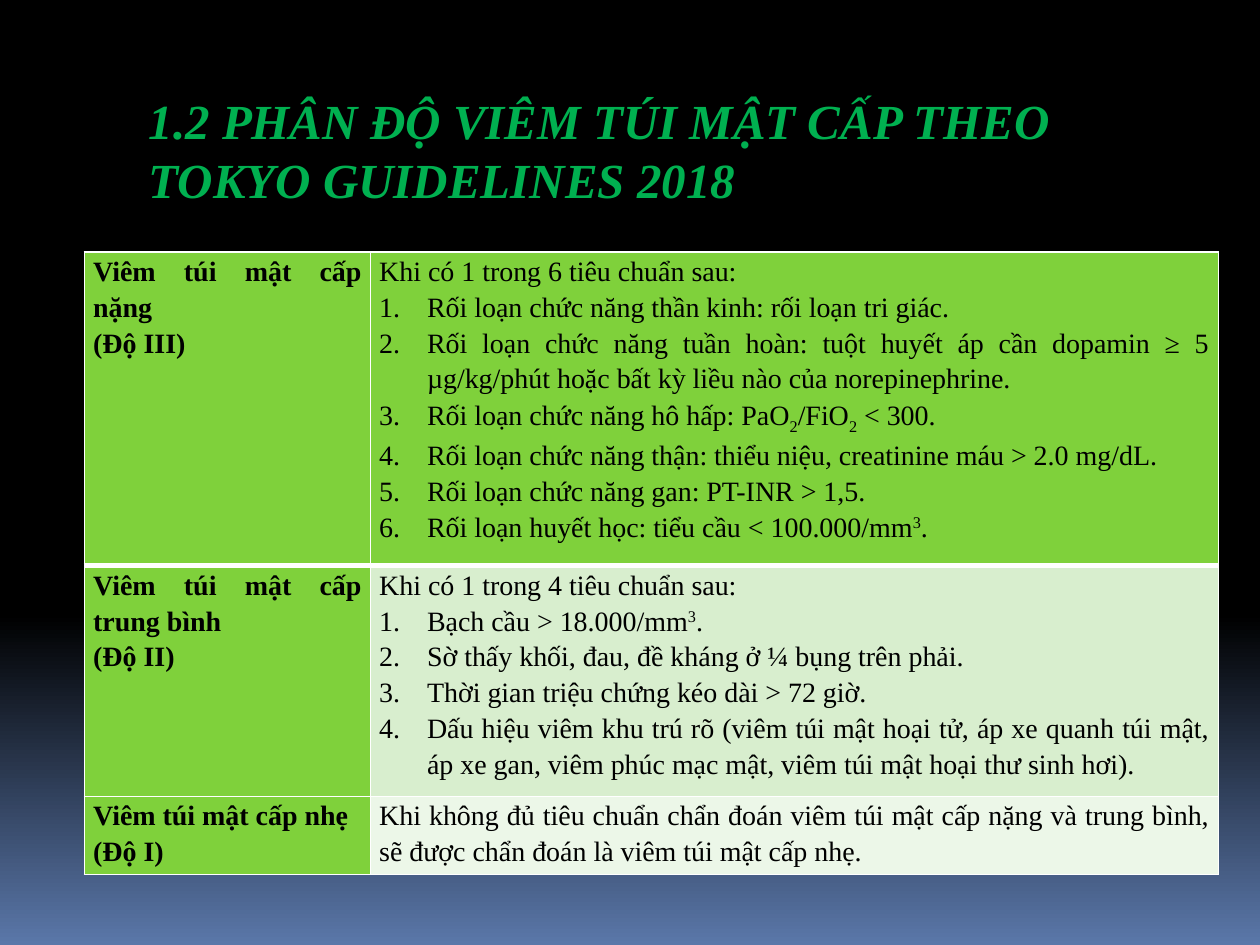
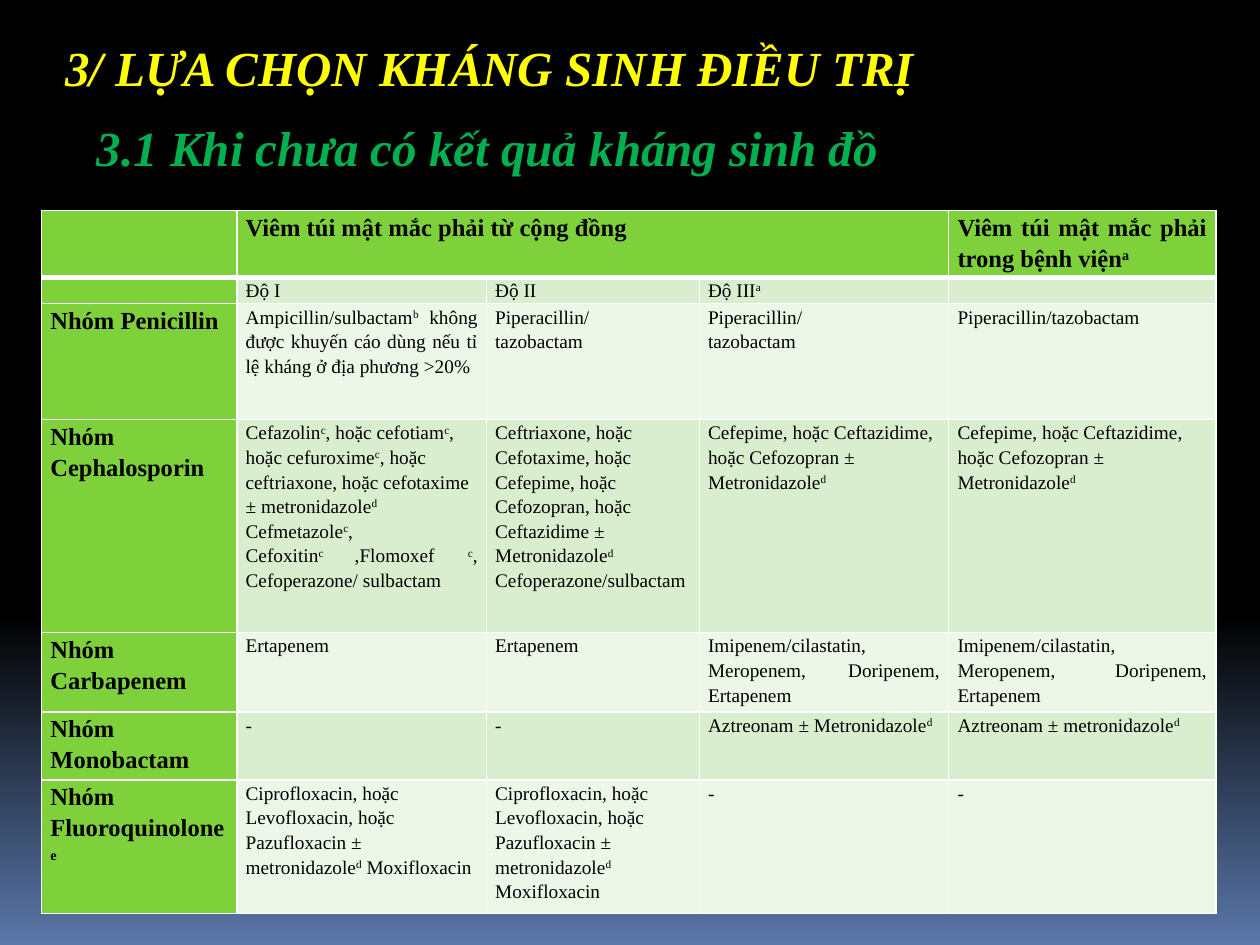
from lxml import etree
from pptx import Presentation
from pptx.dml.color import RGBColor
from pptx.enum import text as t
from pptx.oxml import ns
from pptx.util import Inches, Pt

BLACK = RGBColor(0, 0, 0)
NAVY = RGBColor(0x5A, 0x77, 0xA9)
GREEN = RGBColor(0x00, 0xB0, 0x50)
YELLOW = RGBColor(0xFF, 0xFF, 0x00)
LIME = RGBColor(0x7F, 0xD1, 0x3B)
PALE = RGBColor(0xD8, 0xEE, 0xCE)
MIST = RGBColor(0xEC, 0xF7, 0xE8)
WHITE = RGBColor(0xFF, 0xFF, 0xFF)
FONT = "Times New Roman"

# Cell marks: "#" numbered, "<" left aligned, "|^" raised, "|_" lowered, "|" normal.
CEFE = ["<Cefepime, hoặc Ceftazidime, hoặc Cefozopran ± Metronidazole|^d"]
PIPE = ["Piperacillin/", "tazobactam"]
IMI = ["Imipenem/cilastatin, Meropenem, Doripenem, Ertapenem"]
CIPRO = ["<Ciprofloxacin, hoặc Levofloxacin, hoặc Pazufloxacin ± metronidazole|^d| Moxifloxacin"]
ERTA = ["Ertapenem"]
DASH = ["-"]

GRADES = [
    [["Viêm túi mật cấp nặng", "(Độ III)"],
     ["Khi có 1 trong 6 tiêu chuẩn sau:",
      "#Rối loạn chức năng thần kinh: rối loạn tri giác.",
      "#Rối loạn chức năng tuần hoàn: tuột huyết áp cần dopamin ≥ 5 µg/kg/phút hoặc bất kỳ liều nào của norepinephrine.",
      "#Rối loạn chức năng hô hấp: PaO|_2|/FiO|_2| < 300.",
      "#Rối loạn chức năng thận: thiểu niệu, creatinine máu > 2.0 mg/dL.",
      "#Rối loạn chức năng gan: PT-INR > 1,5.",
      "#Rối loạn huyết học: tiểu cầu < 100.000/mm|^3|."]],
    [["Viêm túi mật cấp trung bình", "(Độ II)"],
     ["Khi có 1 trong 4 tiêu chuẩn sau:",
      "#Bạch cầu > 18.000/mm|^3|.",
      "#Sờ thấy khối, đau, đề kháng ở ¼ bụng trên phải.",
      "#Thời gian triệu chứng kéo dài > 72 giờ.",
      "#Dấu hiệu viêm khu trú rõ (viêm túi mật hoại tử, áp xe quanh túi mật, áp xe gan, viêm phúc mạc mật, viêm túi mật hoại thư sinh hơi)."]],
    [["Viêm túi mật cấp nhẹ", "(Độ I)"],
     ["Khi không đủ tiêu chuẩn chẩn đoán viêm túi mật cấp nặng và trung bình, sẽ được chẩn đoán là viêm túi mật cấp nhẹ."]],
]

DRUGS = [
    [[], ["Viêm túi mật mắc phải từ cộng đồng"], [], [],
     ["Viêm túi mật mắc phải trong bệnh viện|^a"]],
    [[], ["Độ I"], ["Độ II"], ["Độ III|^a"], []],
    [["Nhóm Penicillin"],
     ["Ampicillin/sulbactam|^b |không được khuyến cáo dùng nếu tỉ lệ kháng ở địa phương >20%"],
     PIPE, PIPE, ["Piperacillin/tazobactam"]],
    [["Nhóm Cephalosporin"],
     ["<Cefazolin|^c|, hoặc cefotiam|^c|, hoặc cefuroxime|^c|, hoặc ceftriaxone, hoặc cefotaxime ± metronidazole|^d",
      "Cefmetazole|^c|, Cefoxitin|^c |,Flomoxef |^c|, Cefoperazone/ sulbactam"],
     ["<Ceftriaxone, hoặc Cefotaxime, hoặc Cefepime, hoặc Cefozopran, hoặc Ceftazidime ± Metronidazole|^d",
      "Cefoperazone/sulbactam"],
     CEFE, CEFE],
    [["Nhóm Carbapenem"], ERTA, ERTA, IMI, IMI],
    [["Nhóm Monobactam"], DASH, DASH,
     ["<Aztreonam ± Metronidazole|^d"], ["<Aztreonam ± metronidazole|^d"]],
    [["Nhóm Fluoroquinolone|^e"], CIPRO, CIPRO, DASH, DASH],
]

SLIDES = [
    dict(heads=[("1.2 PHÂN ĐỘ VIÊM TÚI MẬT CẤP THEO TOKYO GUIDELINES 2018",
                 (1.08, 0.67, 8.43, 1.04), GREEN)],
         rows=GRADES, spot=(0.67, 2), wide=[2.27, 6.73],
         high=[2.49, 1.83, 0.62], sizes=(16, 16), top=False, spans=[]),
    dict(heads=[("3/ LỰA CHỌN KHÁNG SINH ĐIỀU TRỊ",
                 (0.42, 0.25, 7.75, 0.57), YELLOW),
                ("3.1 Khi chưa có kết quả kháng sinh đồ",
                 (0.67, 0.88, 8.08, 0.57), GREEN)],
         rows=DRUGS, spot=(0.33, 1.67), wide=[1.55, 1.98, 1.69, 1.98, 2.12],
         high=[0.53, 0.21, 0.92, 1.69, 0.63, 0.54, 1.06],
         sizes=(14, 11), top=True, spans=[((0, 1), (0, 3))]),
]


def put(obj, vals):
    for key, val in vals.items():
        setattr(obj, key, val)


def style(run, size, color, bold, slant=False):
    put(run.font, dict(name=FONT, size=Pt(size), bold=bold, italic=slant))
    run.font.color.rgb = color


def head(slide, words, box, color, first):
    area = [Inches(v) for v in box]
    shape = slide.shapes.title if first else slide.shapes.add_textbox(*area)
    put(shape, dict(zip(("left", "top", "width", "height"), area)))
    frame = shape.text_frame
    put(frame, dict(word_wrap=True, auto_size=t.MSO_AUTO_SIZE.NONE,
                    vertical_anchor=t.MSO_ANCHOR.TOP))
    par = frame.paragraphs[0]
    par.alignment = t.PP_ALIGN.LEFT
    run = par.add_run()
    run.text = words
    style(run, 28, color, True, True)


def line(par, words, size, bold):
    left = words.startswith("<")
    put(par, dict(alignment=t.PP_ALIGN.LEFT if left else t.PP_ALIGN.JUSTIFY,
                  line_spacing=1.15))
    if words.startswith("#"):
        prop = par._p.get_or_add_pPr()
        put_xml = dict(marL=Inches(0.38), indent=-Inches(0.38))
        for key, val in put_xml.items():
            prop.set(key, str(int(val)))
        etree.SubElement(prop, ns.qn("a:buAutoNum"), type="arabicPeriod")
    for part in words.lstrip("<#").split("|"):
        base = {"^": "30000", "_": "-25000"}.get(part[0])
        run = par.add_run()
        run.text = part[1:] if base else part
        style(run, size, BLACK, bold)
        if base:
            run._r.get_or_add_rPr().set("baseline", base)


def edge(cell, row):
    prop = cell._tc.get_or_add_tcPr()
    thick = {"T": row == 1, "B": row == 0}
    for side in "LRTB":
        width = Pt(3 if thick.get(side) else 1)
        ln = etree.SubElement(prop, ns.qn("a:ln" + side), w=str(int(width)))
        fill = etree.SubElement(ln, ns.qn("a:solidFill"))
        etree.SubElement(fill, ns.qn("a:srgbClr"), val=str(WHITE))


def grid(slide, rows, spot, wide, high, sizes, top, spans):
    box = [Inches(v) for v in (*spot, sum(wide), sum(high))]
    table = slide.shapes.add_table(len(high), len(wide), *box).table
    for col, size in zip(table.columns, wide):
        col.width = Inches(size)
    for row, size in zip(table.rows, high):
        row.height = Inches(size)
    for start, end in spans:
        table.cell(*start).merge(table.cell(*end))
    for r, row in enumerate(rows):
        for c, lines in enumerate(row):
            cell = table.cell(r, c)
            put(cell, dict(margin_left=Inches(0.07), margin_right=Inches(0.07),
                           margin_top=0, margin_bottom=0))
            edge(cell, r)
            cell.fill.solid()
            cell.fill.fore_color.rgb = LIME if r == 0 or c == 0 else (MIST, PALE)[r % 2]
            bold = c == 0 or (top and r == 0)
            frame = cell.text_frame
            if not lines:
                end = frame.paragraphs[0]._p.get_or_add_endParaRPr()
                end.set("sz", str(sizes[1] * 100))
            for i, words in enumerate(lines):
                par = frame.add_paragraph() if i else frame.paragraphs[0]
                line(par, words, sizes[0 if bold else 1], bold)


def main():
    deck = Presentation()
    put(deck, dict(slide_width=Inches(10), slide_height=Inches(7.5)))
    fill = deck.slide_master.background.fill
    fill.gradient()
    fill.gradient_angle = 270
    for stop, spot, color in zip(fill.gradient_stops, (0.65, 1), (BLACK, NAVY)):
        stop.position = spot
        stop.color.rgb = color
    for data in SLIDES:
        slide = deck.slides.add_slide(deck.slide_layouts[5])
        for i, (words, box, color) in enumerate(data["heads"]):
            head(slide, words, box, color, i == 0)
        grid(slide, **{k: v for k, v in data.items() if k != "heads"})
    deck.save("out.pptx")


if __name__ == "__main__":
    main()
